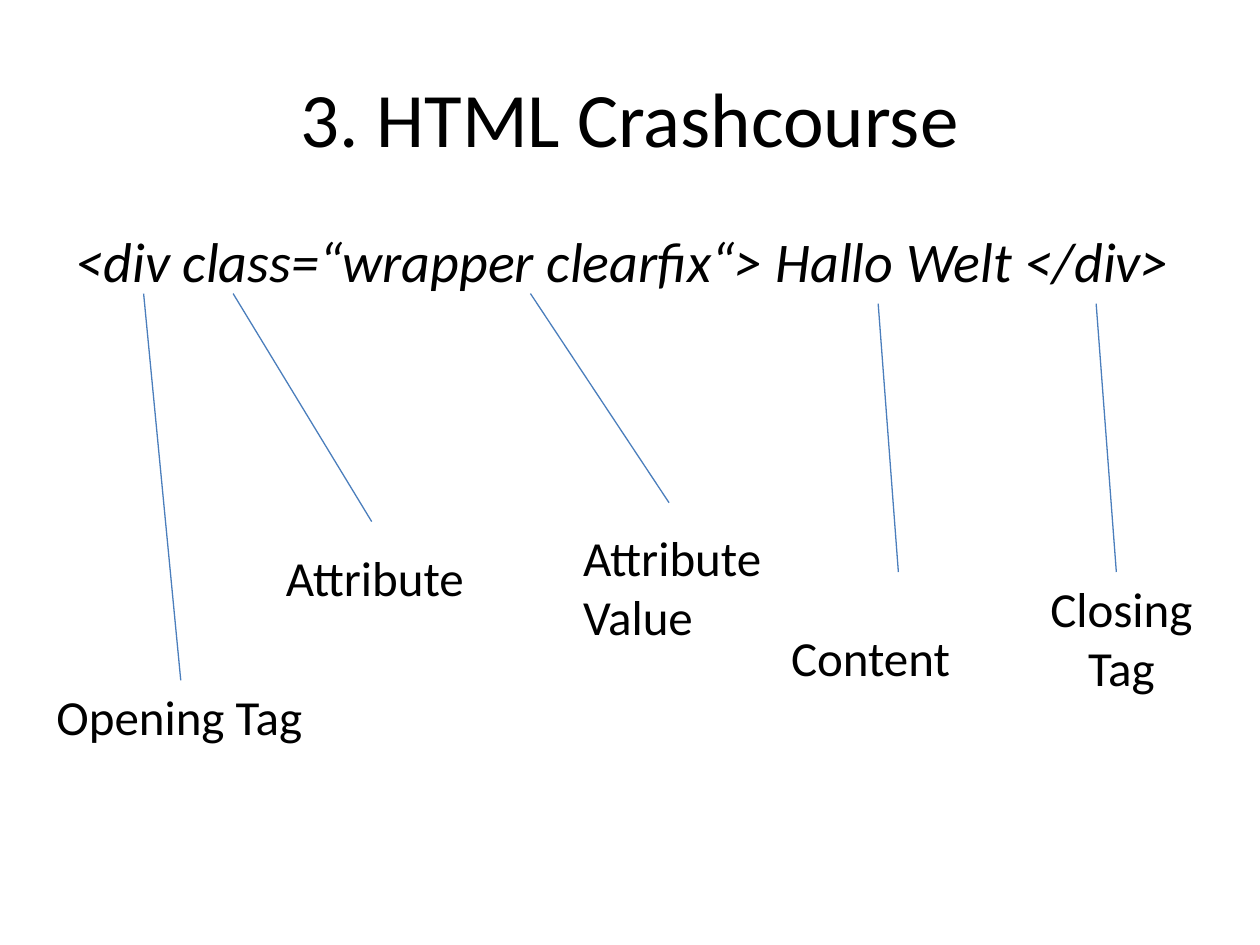
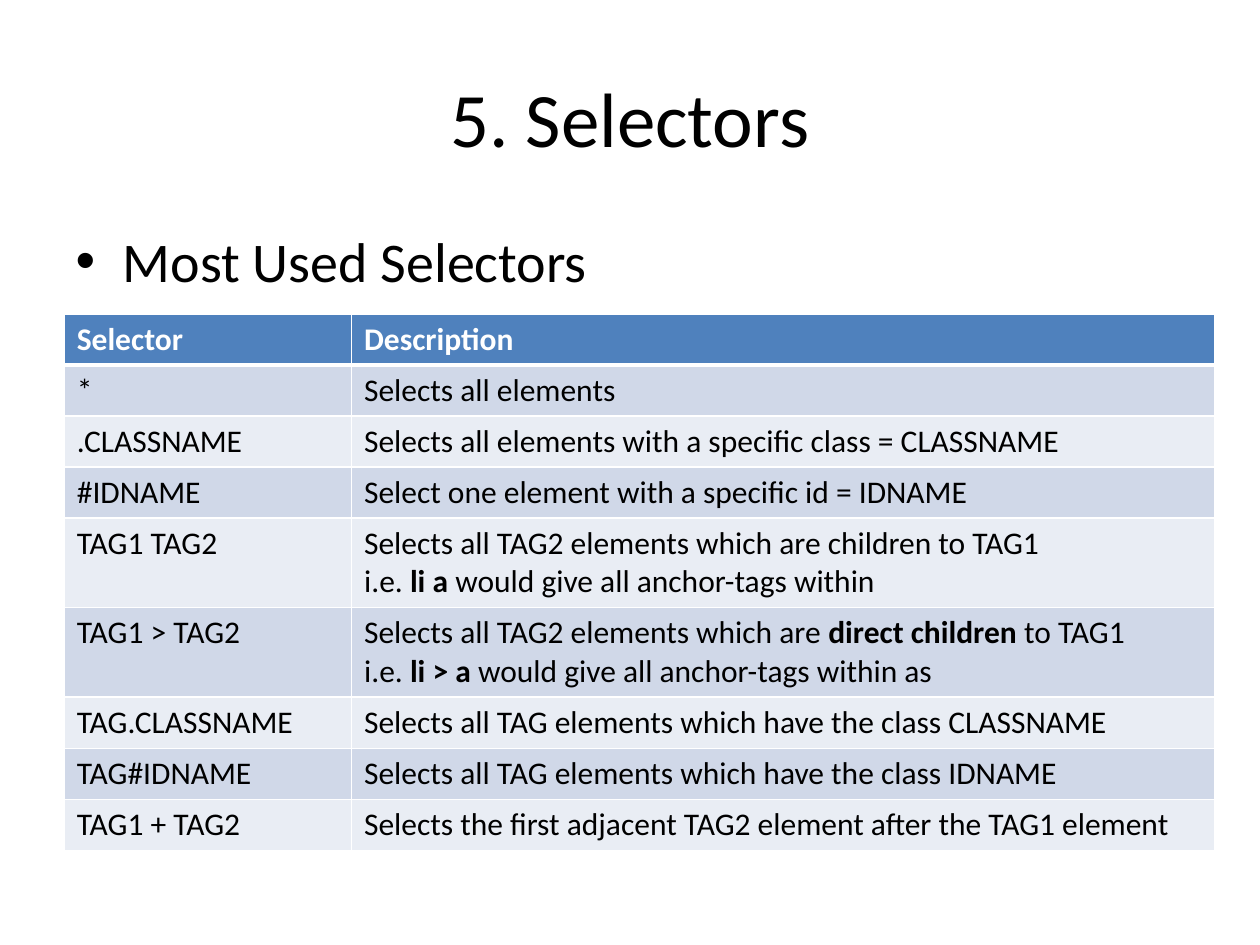
from lxml import etree
from pptx import Presentation
from pptx.dml.color import RGBColor
from pptx.enum.shapes import MSO_CONNECTOR
from pptx.enum.text import MSO_ANCHOR, MSO_AUTO_SIZE, PP_ALIGN
from pptx.oxml.ns import qn
from pptx.util import Inches, Pt

STRAIGHT = MSO_CONNECTOR.STRAIGHT
MIDDLE = MSO_ANCHOR.MIDDLE
NO_FIT = MSO_AUTO_SIZE.NONE
GROW = MSO_AUTO_SIZE.SHAPE_TO_FIT_TEXT
LEFT, CENTER = PP_ALIGN.LEFT, PP_ALIGN.CENTER

FONT = "Calibri"
BLACK, WHITE = "000000", "FFFFFF"
LINE_BLUE = "4B7EBC"
HEADER_BLUE = "4F81BD"
BANDS = ["D0D8E8", "E9EDF4"]
TOP_SIDE = 0

LABELS = [
    (["Opening Tag"], (0.35, 5.4, 2.17, 0.57), LEFT),
    (["Attribute"], (2.17, 4.3, 1.64, 0.57), LEFT),
    (["Attribute", "Value"], (4.53, 4.14, 1.64, 1.04), LEFT),
    (["Content"], (6.18, 4.93, 1.48, 0.57), LEFT),
    (["Closing", "Tag"], (8.23, 4.54, 1.34, 1.04), CENTER),
]
POINTERS = [
    ((1.14, 2.33), (1.44, 5.4)),
    ((1.85, 2.33), (2.95, 4.14)),
    ((4.21, 2.33), (5.31, 3.99)),
    ((6.97, 2.41), (7.13, 4.54)),
    ((8.7, 2.41), (8.86, 4.54)),
]
SELECTORS = [
    ("Selector", [["Description"]]),
    ("*", [["Selects all elements"]]),
    (".CLASSNAME", [["Selects all elements with a specific class = CLASSNAME"]]),
    ("#IDNAME", [["Select one element with a specific id = IDNAME"]]),
    ("TAG1 TAG2", [
        ["Selects all TAG2 elements which are children to TAG1"],
        ["i.e. ", "li a ", "would give all anchor-tags within"],
    ]),
    ("TAG1 > TAG2", [
        ["Selects all TAG2 elements which are ", "direct children ", "to TAG1"],
        ["i.e. ", "li > a", " would give all anchor-tags within as"],
    ]),
    ("TAG.CLASSNAME", [["Selects all TAG elements which have the class CLASSNAME"]]),
    ("TAG#IDNAME", [["Selects all TAG elements which have the class IDNAME"]]),
    ("TAG1 + TAG2", [["Selects the first adjacent TAG2 element after the TAG1 element"]]),
]


def color(value):
    return RGBColor.from_string(value)


def style(font, size, value=BLACK, bold=False, italic=False):
    font.name = FONT
    font.size = Pt(size)
    font.color.rgb = color(value)
    font.bold = bold
    font.italic = italic


def place(shape, left, top, width, height):
    shape.left, shape.top = Inches(left), Inches(top)
    shape.width, shape.height = Inches(width), Inches(height)


def add_page(deck, title, body_text, body_height, bullet=True, italic=False):
    page = deck.slides.add_slide(deck.slide_layouts[1])
    heading, body = page.placeholders
    place(heading, 0.5, 0.3, 9, 1.25)
    heading.text_frame.text = title
    heading.text_frame.vertical_anchor = MIDDLE
    heading.text_frame.auto_size = NO_FIT
    paragraph = heading.text_frame.paragraphs[0]
    paragraph.alignment = CENTER
    style(paragraph.runs[0].font, 44)

    place(body, 0.5, 1.75, 9, body_height)
    body.text_frame.text = body_text
    body.text_frame.auto_size = NO_FIT
    paragraph = body.text_frame.paragraphs[0]
    paragraph.space_before = Pt(0)
    if not bullet:
        etree.SubElement(paragraph._p.get_or_add_pPr(), qn("a:buNone"))
    style(paragraph.runs[0].font, 32, italic=italic)
    return page


def add_label(page, lines, area, alignment):
    box = page.shapes.add_textbox(*map(Inches, area))
    frame = box.text_frame
    frame.text = "\n".join(lines)
    frame.word_wrap = False
    frame.auto_size = GROW
    for paragraph in frame.paragraphs:
        paragraph.alignment = alignment
        style(paragraph.runs[0].font, 28)
    return box


def add_pointer(page, start, end):
    pointer = page.shapes.add_connector(STRAIGHT, *map(Inches, start + end))
    pointer.line.color.rgb = color(LINE_BLUE)
    pointer.line.width = Pt(0.75)
    etree.SubElement(pointer._element.spPr, qn("a:effectLst"))
    return pointer


def set_borders(cell, top, bottom):
    properties = cell._tc.get_or_add_tcPr()
    widths = {"a:lnL": 1, "a:lnR": 1, "a:lnT": top, "a:lnB": bottom}
    for tag, width in widths.items():
        line = etree.SubElement(properties, qn(tag), w=str(Pt(width)))
        fill = etree.SubElement(line, qn("a:solidFill"))
        etree.SubElement(fill, qn("a:srgbClr"), val=WHITE)


def fill_cell(cell, lines, row):
    header = row == 0
    set_borders(cell, 3 if row == 1 else 1, 3 if header else 1)
    cell.fill.solid()
    cell.fill.fore_color.rgb = color(HEADER_BLUE if header else BANDS[(row - 1) % 2])
    frame = cell.text_frame
    for index, spans in enumerate(lines):
        paragraph = frame.add_paragraph() if index else frame.paragraphs[0]
        for position, text in enumerate(spans):
            span = paragraph.add_run()
            span.text = text
            style(span.font, 18, WHITE if header else BLACK, header or position == 1)


def add_selector_table(page):
    heights = [0.1 + 0.3 * len(lines) for _, lines in SELECTORS]
    area = (0.51, 2.49, 9.13, sum(heights))
    table = page.shapes.add_table(len(SELECTORS), 2, *map(Inches, area)).table
    for column, width in zip(table.columns, (2.28, 6.85)):
        column.width = Inches(width)
    for row, (selector, description) in enumerate(SELECTORS):
        table.rows[row].height = Inches(heights[row])
        fill_cell(table.cell(row, 0), [[selector]], row)
        fill_cell(table.cell(row, 1), description, row)


def main():
    deck = Presentation()
    deck.slide_width, deck.slide_height = Inches(10), Inches(7.5)

    markup = "<div class=“wrapper clearfix“> Hallo Welt </div>"
    page = add_page(deck, "3. HTML Crashcourse", markup, 4.95, bullet=False, italic=True)
    labels = [add_label(page, *label) for label in LABELS]
    pointers = [add_pointer(page, *ends) for ends in POINTERS]
    pointers[0].end_connect(labels[0], TOP_SIDE)

    page = add_page(deck, "5. Selectors", "Most Used Selectors", 0.58)
    add_selector_table(page)

    deck.save("out.pptx")


if __name__ == "__main__":
    main()
